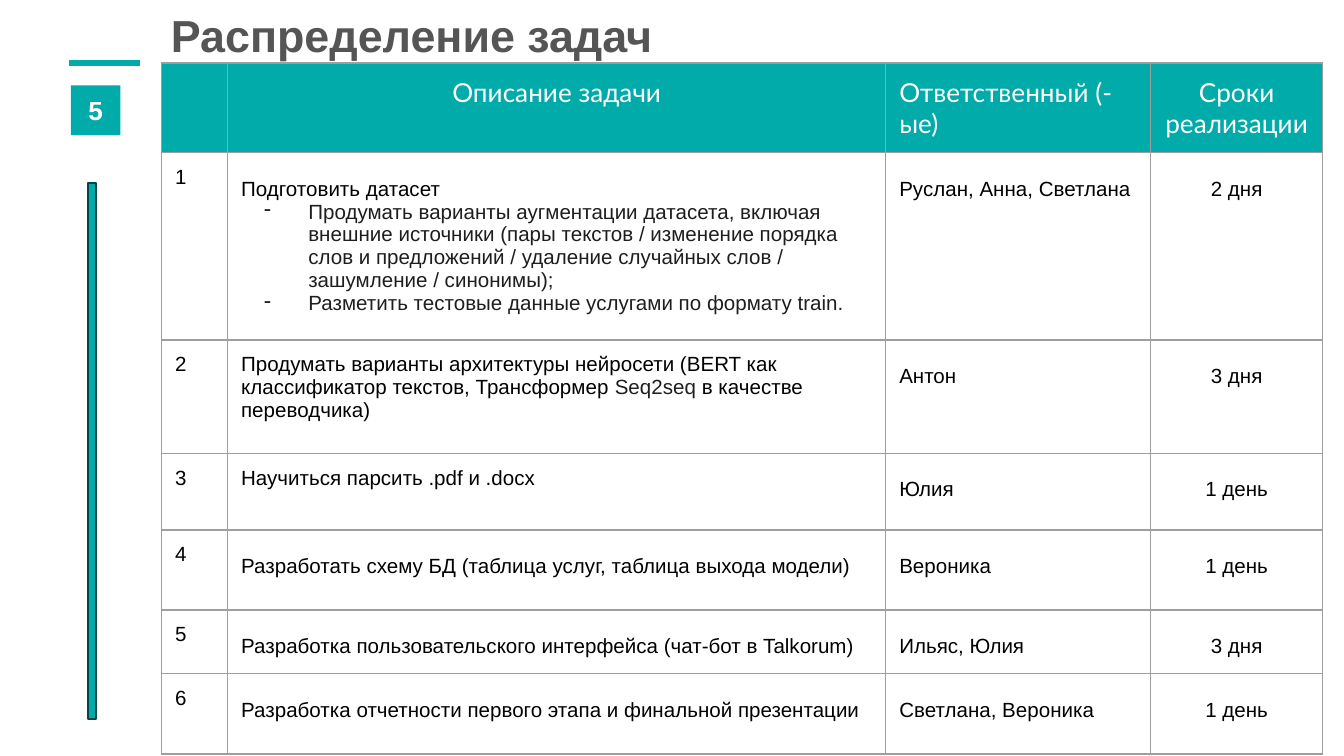
from lxml.etree import SubElement
from pptx import Presentation
from pptx.dml.color import RGBColor
from pptx.enum.shapes import MSO_CONNECTOR, MSO_SHAPE
from pptx.enum.text import MSO_ANCHOR, PP_ALIGN
from pptx.oxml.ns import qn
from pptx.util import Pt

TEAL = RGBColor(0x00, 0xAB, 0xAA)
DARK_TEAL = RGBColor(0x00, 0x48, 0x47)
GREY = RGBColor(0x55, 0x55, 0x55)
BORDER = RGBColor(0x9E, 0x9E, 0x9E)
INK = RGBColor(0x1E, 0x1E, 0x1E)
BLACK = RGBColor(0x00, 0x00, 0x00)
WHITE = RGBColor(0xFF, 0xFF, 0xFF)

HEADERS = ["", "Описание задачи", "Ответственный (-ые)", "Сроки реализации"]
# Description, its line spacing, people, duration
TASKS = [
    ("Подготовить датасет", 1.5, "Руслан, Анна, Светлана", "2 дня"),
    ("Продумать варианты архитектуры нейросети (BERT как классификатор текстов, "
     "Трансформер Seq2seq в качестве переводчика)", 1, "Антон", "3 дня"),
    ("Научиться парсить .pdf и .docx", 1, "Юлия", "1 день"),
    ("Разработать схему БД (таблица услуг, таблица выхода модели)", 1.5,
     "Вероника", "1 день"),
    ("Разработка пользовательского интерфейса (чат-бот в Talkorum)", 1.5,
     "Ильяс, Юлия", "3 дня"),
    ("Разработка отчетности первого этапа и финальной презентации", 1.5,
     "Светлана, Вероника", "1 день"),
]
DATASET_STEPS = [
    "Продумать варианты аугментации датасета, включая внешние источники "
    "(пары текстов / изменение порядка слов и предложений / удаление случайных "
    "слов / зашумление / синонимы);",
    "Разметить тестовые данные услугами по формату train.",
]
INK_TERM = "Seq2seq"
COL_WIDTHS = [35.4, 352.6, 141.9, 92.2]
ROW_HEIGHTS = [48, 100.2, 60.8, 41, 42.9, 34, 42.9]


def style(p, size, color, name="Arial", bold=False, align=PP_ALIGN.LEFT):
    p.alignment = align
    p.font.size = Pt(size)
    p.font.name = name
    p.font.bold = bold
    p.font.color.rgb = color


def set_margins(box, x, y):
    box.margin_left = box.margin_right = Pt(x)
    box.margin_top = box.margin_bottom = Pt(y)


def add_rect(slide, x, y, w, h):
    sp = slide.shapes.add_shape(MSO_SHAPE.RECTANGLE, Pt(x), Pt(y), Pt(w), Pt(h))
    sp.shadow.inherit = False
    sp.fill.solid()
    sp.fill.fore_color.rgb = TEAL
    sp.line.fill.background()
    return sp


def add_sidebar(slide, x, y, number):
    """Accent line, slide number and vertical bar."""
    line = slide.shapes.add_connector(
        MSO_CONNECTOR.STRAIGHT, Pt(x), Pt(y), Pt(x + 38), Pt(y))
    line.line.color.rgb = TEAL
    line.line.width = Pt(3)
    SubElement(line._element.spPr, qn("a:effectLst"))

    badge = add_rect(slide, x + 1, y + 12, 26.6, 26.6)
    tf = badge.text_frame
    set_margins(tf, 5, 3)
    tf.vertical_anchor = MSO_ANCHOR.MIDDLE
    tf.text = number
    style(tf.paragraphs[0], 14, WHITE, bold=True, align=PP_ALIGN.CENTER)

    bar = add_rect(slide, x + 10.1, y + 64.2, 4.6, 287.4)
    bar.line.color.rgb = DARK_TEAL
    bar.line.width = Pt(1)


def add_title(slide, x, y, w, h, text):
    tf = slide.shapes.add_textbox(Pt(x), Pt(y), Pt(w), Pt(h)).text_frame
    tf.word_wrap = True
    set_margins(tf, 0, 0)
    tf.text = text
    style(tf.paragraphs[0], 24, GREY, bold=True)


def set_borders(cell):
    tc_pr = cell._tc.get_or_add_tcPr()
    for i, side in enumerate(("lnL", "lnR", "lnT", "lnB")):
        ln = SubElement(tc_pr, qn(f"a:{side}"), w=str(Pt(0.75)))
        fill = SubElement(ln, qn("a:solidFill"))
        SubElement(fill, qn("a:srgbClr"), val=str(BORDER))
        tc_pr.insert(i, ln)


def fill_cell(cell, text, fill, size, color, name, align, spacing=1):
    set_margins(cell, 7.2, 7.2)
    cell.fill.solid()
    cell.fill.fore_color.rgb = fill
    set_borders(cell)
    p = cell.text_frame.paragraphs[0]
    for part in filter(None, text.partition(INK_TERM)):
        r = p.add_run()
        r.text = part
        if part == INK_TERM:
            r.font.color.rgb = INK
    p.line_spacing = spacing
    style(p, size, color, name, align=align)


def add_dash_item(tf, text):
    p = tf.add_paragraph()
    p.text = text
    p_pr = p._p.get_or_add_pPr()
    p_pr.set("marL", str(Pt(36)))
    p_pr.set("indent", str(Pt(-23.6)))
    color = SubElement(p_pr, qn("a:buClr"))
    SubElement(color, qn("a:srgbClr"), val=str(INK))
    SubElement(p_pr, qn("a:buChar"), char="-")
    style(p, 11, INK)


def add_task_table(slide, x, y):
    table = slide.shapes.add_table(
        len(ROW_HEIGHTS), len(COL_WIDTHS), Pt(x), Pt(y),
        Pt(sum(COL_WIDTHS)), Pt(sum(ROW_HEIGHTS))).table
    for col, width in zip(table.columns, COL_WIDTHS):
        col.width = Pt(width)
    for row, height in zip(table.rows, ROW_HEIGHTS):
        row.height = Pt(height)

    left, center = PP_ALIGN.LEFT, PP_ALIGN.CENTER
    for c, (text, align) in enumerate(zip(HEADERS, (left, center, left, center))):
        fill_cell(table.cell(0, c), text, TEAL, 14, WHITE, "Lato", align)
    for n, (task, task_spacing, people, duration) in enumerate(TASKS, 1):
        values = ((str(n), 1, left), (task, task_spacing, left),
                  (people, 1.5, left), (duration, 1.5, center))
        for c, (text, spacing, align) in enumerate(values):
            fill_cell(table.cell(n, c), text, WHITE, 11, BLACK, "Arial", align,
                      spacing)
    for step in DATASET_STEPS:
        add_dash_item(table.cell(1, 1).text_frame, step)


def main():
    prs = Presentation()
    prs.slide_width, prs.slide_height = Pt(720), Pt(405)
    slide = prs.slides.add_slide(prs.slide_layouts[6])
    add_sidebar(slide, 37, 33.8, "5")
    add_title(slide, 91.6, 4.3, 622, 29, "Распределение задач")
    add_task_table(slide, 86.6, 33.8)
    prs.save("out.pptx")


if __name__ == "__main__":
    main()
